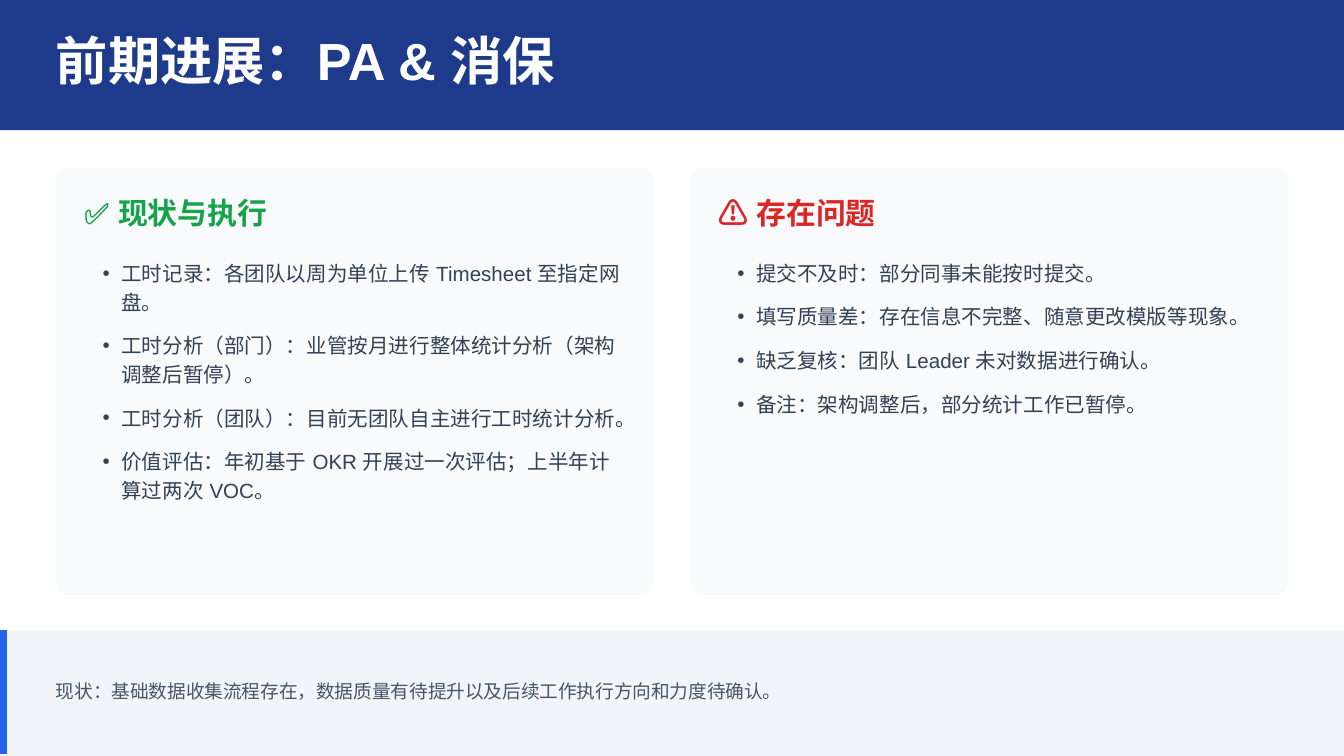
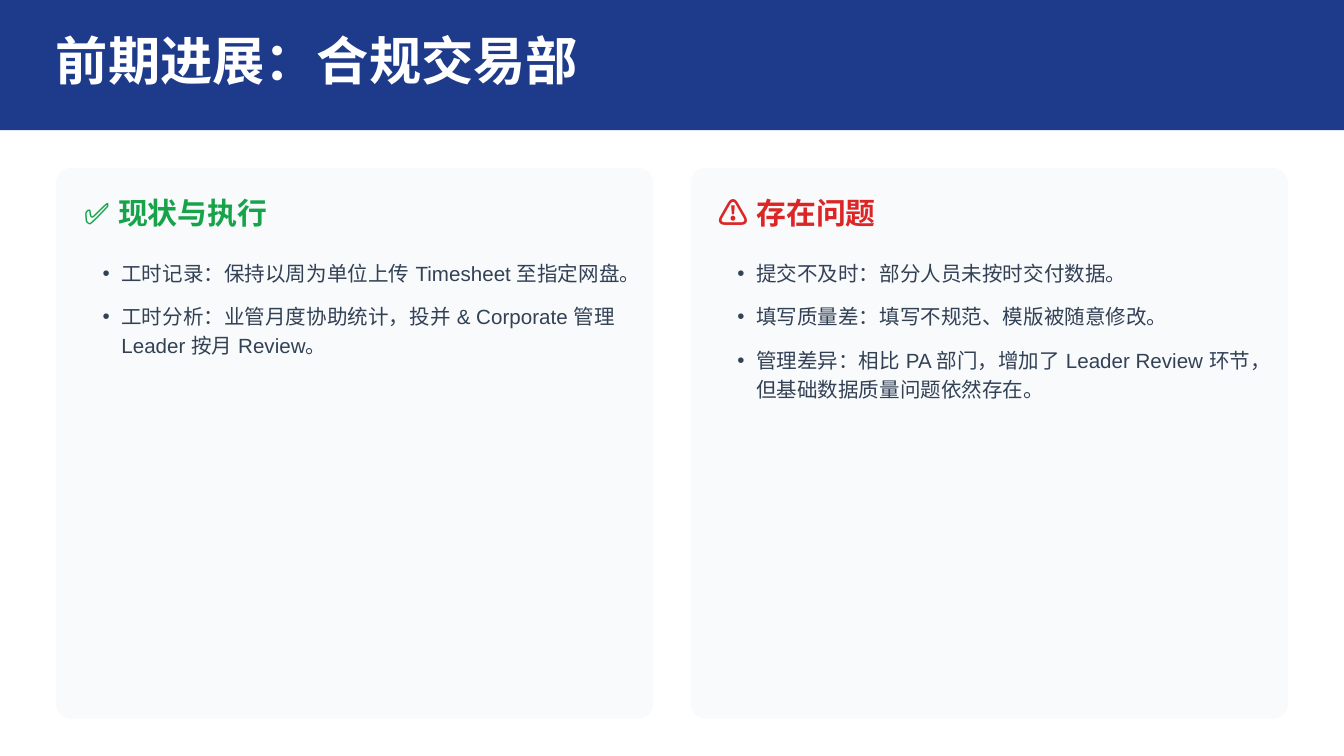
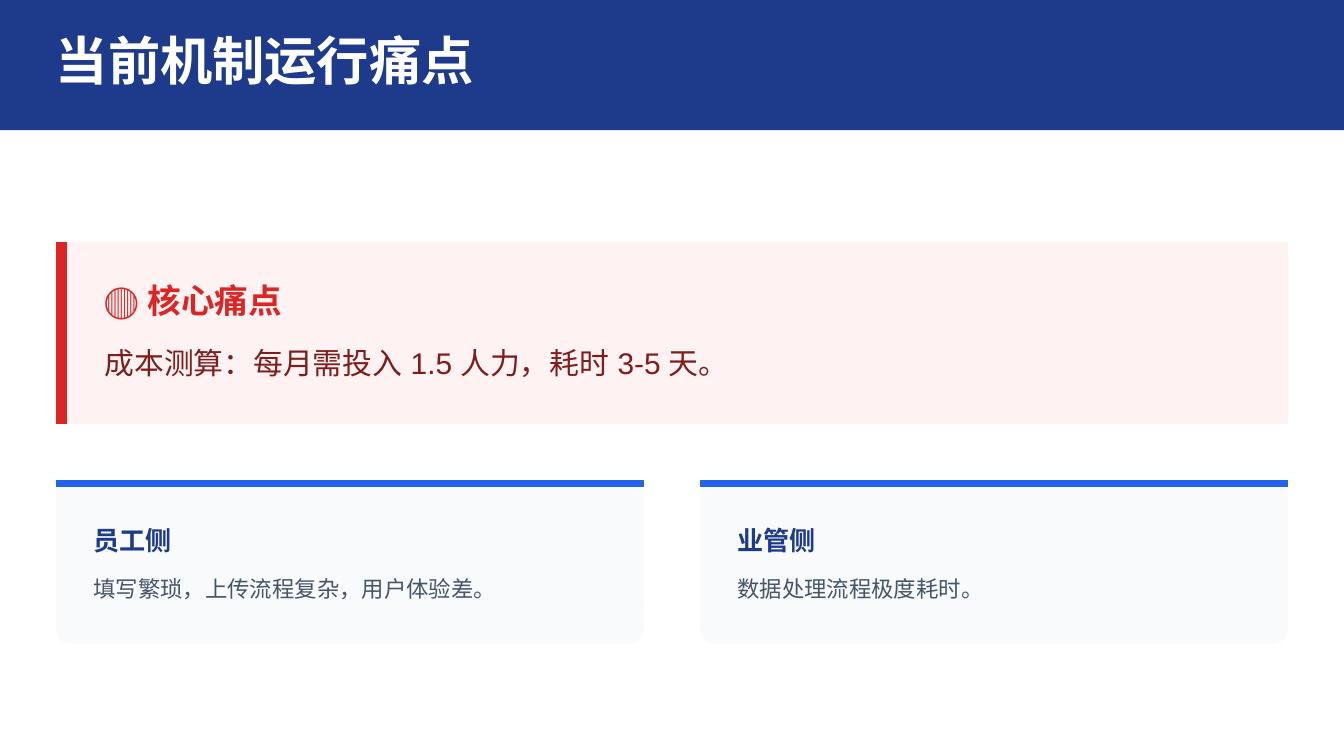
from lxml import etree
from pptx import Presentation
from pptx.dml.color import RGBColor
from pptx.enum import shapes, text
from pptx.oxml import ns
from pptx.util import Pt

# Shared look
FONT = "Arial"
WHITE = RGBColor(0xFF, 0xFF, 0xFF)
NAVY = RGBColor(0x1E, 0x3A, 0x8A)
BLUE = RGBColor(0x25, 0x63, 0xEB)
GREEN = RGBColor(0x16, 0xA3, 0x4A)
RED = RGBColor(0xDC, 0x26, 0x26)
MAROON = RGBColor(0x7F, 0x1D, 0x1D)
PINK = RGBColor(0xFE, 0xF2, 0xF2)
PALE = RGBColor(0xF8, 0xFA, 0xFC)
MIST = RGBColor(0xF1, 0xF5, 0xF9)
SLATE = RGBColor(0x33, 0x41, 0x55)
GREY = RGBColor(0x47, 0x55, 0x69)

WIDE, HIGH, EDGE = 720, 405, 30
INNER = WIDE - 2 * EDGE
RECT = shapes.MSO_SHAPE.RECTANGLE
ROUND = shapes.MSO_SHAPE.ROUNDED_RECTANGLE


def place(shape, x, y, w, h):
    shape.left, shape.top, shape.width, shape.height = map(Pt, (x, y, w, h))


def columns(gap):
    """Left edges and width of two equal columns."""
    w = (INNER - gap) / 2
    return (EDGE, EDGE + w + gap), w


def panel(slide, x, y, w, h, color, radius=0):
    """Filled panel that lies behind all text."""
    shape = slide.shapes.add_shape(ROUND if radius else RECT,
                                   Pt(x), Pt(y), Pt(w), Pt(h))
    if radius:
        shape.adjustments[0] = radius / min(w, h)
    shape.fill.solid()
    shape.fill.fore_color.rgb = color
    shape.line.fill.background()
    shape.shadow.inherit = False
    slide.shapes._spTree.insert(2, shape._element)


def rule(slide, x1, y1, x2, y2, color, width):
    line = slide.shapes.add_connector(shapes.MSO_CONNECTOR.STRAIGHT,
                                      Pt(x1), Pt(y1), Pt(x2), Pt(y2))
    line.line.color.rgb = color
    line.line.width = Pt(width)
    etree.SubElement(line._element.spPr, ns.qn("a:effectLst"))


def frame(shape, left=0):
    body = shape.text_frame
    body.word_wrap = True
    body.auto_size = text.MSO_AUTO_SIZE.NONE
    body.vertical_anchor = text.MSO_ANCHOR.TOP
    body.margin_left = Pt(left)
    body.margin_top = body.margin_right = body.margin_bottom = 0
    return body


def write(para, words, size, color, bold=False, after=0):
    para.alignment = text.PP_ALIGN.LEFT
    para.space_before, para.space_after = Pt(0), Pt(after)
    run = para.add_run()
    run.text = words
    font = run.font
    font.name, font.size, font.bold = FONT, Pt(size), bold
    font.color.rgb = color
    for tag in ("a:ea", "a:cs"):
        etree.SubElement(run._r.get_or_add_rPr(), ns.qn(tag), typeface=FONT)


def label(slide, x, y, w, h, words, size, color, bold=False, after=0):
    box = slide.shapes.add_textbox(Pt(x), Pt(y), Pt(w), Pt(h))
    write(frame(box).paragraphs[0], words, size, color, bold, after)


def bullets(holder, x, y, w, h, items):
    place(holder, x, y, w, h)
    body = frame(holder, left=10)
    for i, item in enumerate(items):
        para = body.add_paragraph() if i else body.paragraphs[0]
        write(para, item, 11, SLATE, after=8)
        para.line_spacing = Pt(15.4)
        props = para._p.get_or_add_pPr()
        props.set("marL", str(Pt(10)))
        props.set("indent", str(-Pt(10)))
        etree.SubElement(props, ns.qn("a:buChar"), char="•")


def start(deck, layout, title):
    """New slide with the title band."""
    slide = deck.slides.add_slide(deck.slide_layouts.get_by_name(layout))
    panel(slide, 0, 0, WIDE, 69.7, NAVY)
    head = slide.shapes.title
    place(head, EDGE, 15, 673, 39.6)
    write(frame(head).paragraphs[0], title, 28, WHITE, True)
    return slide


def review(deck, title, high, radius, lists):
    """Progress slide: current state on the left, problems on the right."""
    slide = start(deck, "Two Content", title)
    heads = (("✅ 现状与执行", GREEN), ("⚠️ 存在问题", RED))
    lefts, w = columns(20)
    for i, (x, (head, color), (h, items)) in enumerate(zip(lefts, heads, lists)):
        panel(slide, x, 90, w, high, PALE, radius)
        label(slide, x + 15, 104.5, 296, 22.5, head, 16, color, True, 10)
        bullets(slide.placeholders[i + 1], x + 15, 137.5, 290, h, items)
    return slide


def note(slide, words):
    """Grey strip at the foot with a blue edge."""
    top = 337.7
    panel(slide, 0, top, WIDE, HIGH - top, MIST)
    rule(slide, 1.9, top, 1.9, 404, BLUE, 3.75)
    label(slide, EDGE, 364.3, 670, 14.5, words, 10, GREY)


def alert(slide, head, words):
    """Pink panel with a red edge."""
    top, high = 129.8, 97.2
    panel(slide, EDGE, top, INNER, high, PINK)
    rule(slide, EDGE + 3, top, EDGE + 3, top + high, RED, 6)
    label(slide, 56, 150, 626, 24.5, head, 18, RED, True, 10)
    label(slide, 56, 184.5, 626, 22.5, words, 16, MAROON)


def card(slide, x, w, head, words):
    """Card with a blue line on top."""
    panel(slide, x, 257, w, 88, PALE, 8)
    rule(slide, x, 259, x + w, 259, BLUE, 3.75)
    label(slide, x + 20, 281, 281, 19.5, head, 14, NAVY, True, 8)
    label(slide, x + 20, 308, 281, 16.5, words, 12, GREY)


def main():
    deck = Presentation()
    deck.slide_width, deck.slide_height = Pt(WIDE), Pt(HIGH)

    # Progress: first group
    slide = review(deck, "前期进展：PA & 消保", 229, 7, (
        (132, ("工时记录：各团队以周为单位上传 Timesheet 至指定网盘。",
               "工时分析（部门）：业管按月进行整体统计分析（架构调整后暂停）。",
               "工时分析（团队）：目前无团队自主进行工时统计分析。",
               "价值评估：年初基于 OKR 开展过一次评估；上半年计算过两次 VOC。")),
        (86, ("提交不及时：部分同事未能按时提交。",
              "填写质量差：存在信息不完整、随意更改模版等现象。",
              "缺乏复核：团队 Leader 未对数据进行确认。",
              "备注：架构调整后，部分统计工作已暂停。"))))
    note(slide, "现状：基础数据收集流程存在，数据质量有待提升以及后续工作执行方向和力度待确认。")

    # Progress: second group
    review(deck, "前期进展：合规交易部", 295, 8, (
        (70, ("工时记录：保持以周为单位上传 Timesheet 至指定网盘。",
              "工时分析：业管月度协助统计，投并 & Corporate 管理 Leader 按月 Review。")),
        (78, ("提交不及时：部分人员未按时交付数据。",
              "填写质量差：填写不规范、模版被随意修改。",
              "管理差异：相比 PA 部门，增加了 Leader Review 环节，但基础数据质量问题依然存在。"))))

    # Pain points
    slide = start(deck, "Title Only", "当前机制运行痛点")
    alert(slide, "🔴 核心痛点", "成本测算：每月需投入 1.5 人力，耗时 3-5 天。")
    lefts, w = columns(30)
    sides = (("员工侧", "填写繁琐，上传流程复杂，用户体验差。"),
             ("业管侧", "数据处理流程极度耗时。"))
    for x, (head, words) in zip(lefts, sides):
        card(slide, x, w, head, words)

    deck.save("out.pptx")


if __name__ == "__main__":
    main()
